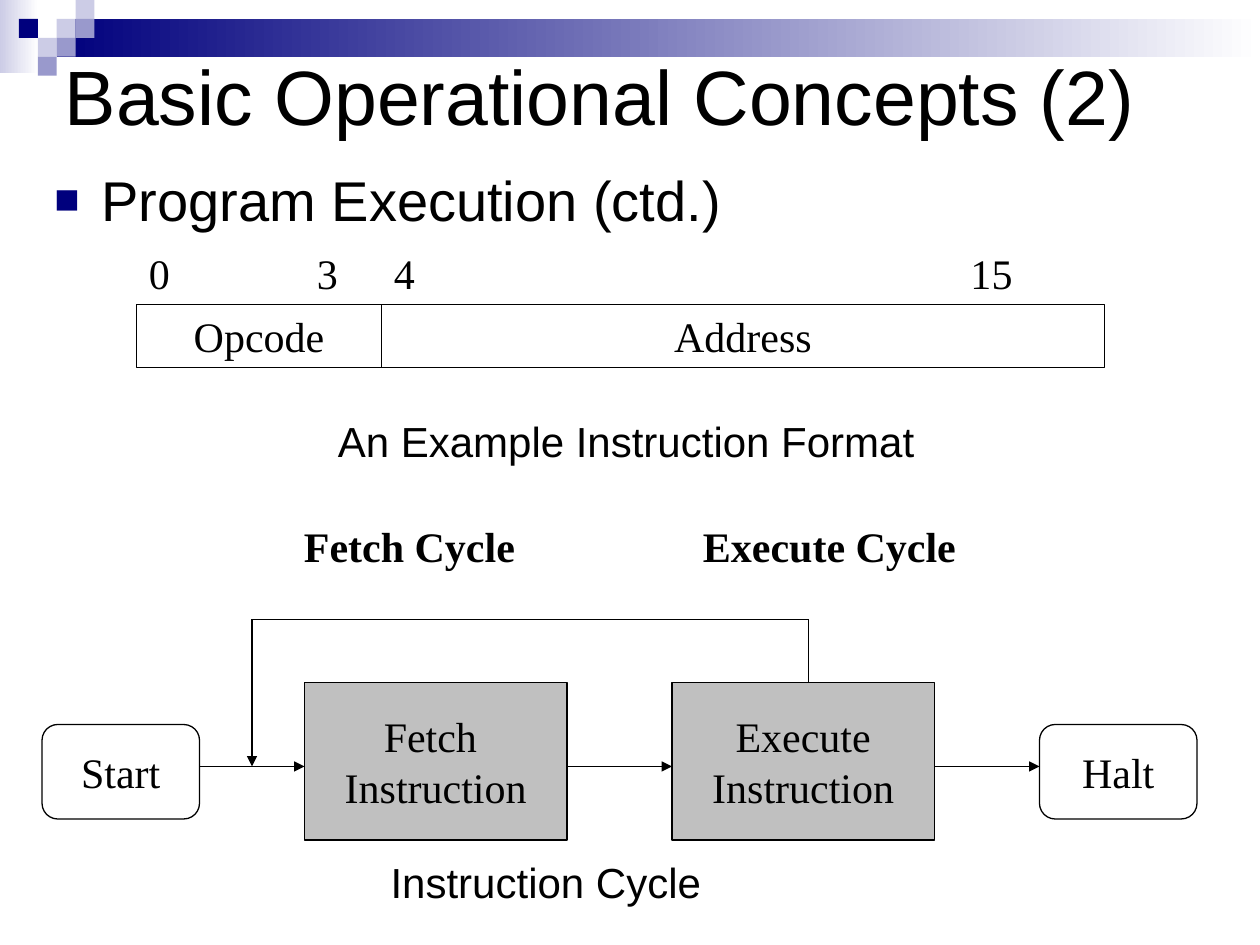
from lxml import etree
from pptx import Presentation
from pptx.dml.color import RGBColor
from pptx.enum.shapes import MSO_CONNECTOR, MSO_SHAPE
from pptx.enum.text import MSO_ANCHOR, PP_ALIGN
from pptx.oxml.ns import qn
from pptx.util import Pt

STRAIGHT = MSO_CONNECTOR.STRAIGHT
RECTANGLE = MSO_SHAPE.RECTANGLE
PROCESS = MSO_SHAPE.FLOWCHART_PROCESS
TERMINAL = MSO_SHAPE.FLOWCHART_ALTERNATE_PROCESS
LEFT, CENTER = PP_ALIGN.LEFT, PP_ALIGN.CENTER
TOP, MIDDLE = MSO_ANCHOR.TOP, MSO_ANCHOR.MIDDLE
SANS, SERIF = "Arial", "Times New Roman"
BLACK, WHITE, GRAY = "000000", "FFFFFF", "C0C0C0"
NAVY, LILAC, VIOLET = "00007D", "CCCCE6", "9999CC"


def color(hex_value):
    return RGBColor.from_string(hex_value)


def add_child(parent, tag, **attributes):
    return etree.SubElement(parent, qn(tag), attributes)


def write(box, text, size=24, font=SERIF, bold=False, align=LEFT, anchor=TOP,
          wrap=True, inset=7.2, tab=None, bullet=None):
    frame = box.text_frame
    frame.word_wrap = wrap
    frame.vertical_anchor = anchor
    frame.margin_left = Pt(inset)
    for index, line in enumerate(text.split("\n")):
        para = frame.add_paragraph() if index else frame.paragraphs[0]
        para.alignment = align
        properties = para._p.get_or_add_pPr()
        if bullet:
            properties.set("marL", str(Pt(27)))
            properties.set("indent", str(-Pt(27)))
            add_child(add_child(properties, "a:buClr"), "a:srgbClr", val=NAVY)
            add_child(properties, "a:buSzPct", val="75000")
            add_child(properties, "a:buFont", typeface=SANS)
            add_child(properties, "a:buChar", char=bullet)
        if tab:
            tabs = add_child(properties, "a:tabLst")
            add_child(tabs, "a:tab", pos=str(Pt(tab)), algn="l")
        span = para.add_run()
        span.text = line
        span.font.size = Pt(size)
        span.font.name = font
        span.font.bold = bold
        span.font.color.rgb = color(BLACK)


def add_text(page, left, top, width, height, text, **style):
    box = page.shapes.add_textbox(Pt(left), Pt(top), Pt(width), Pt(height))
    write(box, text, **style)


def add_box(page, left, top, width, height, kind=RECTANGLE, fill=None, fade=None, outline=None):
    box = page.shapes.add_shape(kind, Pt(left), Pt(top), Pt(width), Pt(height))
    box.shadow.inherit = False
    if fade:
        box.fill.gradient()
        box.fill.gradient_angle = 0
        for stop, shade in zip(box.fill.gradient_stops, fade):
            stop.color.rgb = color(shade)
    elif fill:
        box.fill.solid()
        box.fill.fore_color.rgb = color(fill)
    else:
        box.fill.background()
    if outline:
        box.line.color.rgb = color(outline)
        box.line.width = Pt(0.75)
    else:
        box.line.fill.background()
    return box


def add_line(page, start, end, arrow=False):
    line = page.shapes.add_connector(STRAIGHT, *map(Pt, start + end))
    line.line.color.rgb = color(BLACK)
    line.line.width = Pt(0.75)
    if arrow:
        add_child(line.line._get_or_add_ln(), "a:tailEnd", type="triangle")
    add_child(line._element.spPr, "a:effectLst")


def add_banner(page, left, top, width):
    cell = 10.8
    add_box(page, left, top, 22, 42, fade=(LILAC, WHITE))
    add_box(page, left + 3 * cell, top + cell, width - 3 * cell, 2 * cell, fade=(NAVY, WHITE))
    squares = [(3, 1, LILAC), (4, 0, LILAC), (4, 1, VIOLET), (2, 2, LILAC),
               (1, 1, NAVY), (3, 2, VIOLET), (2, 3, VIOLET)]
    for column, row, fill in squares:
        add_box(page, left + column * cell, top + row * cell, cell, cell, fill=fill)


def add_headings(page, left, top, width):
    add_text(page, left + 6, top, width, 108, "Basic Operational Concepts (2)",
             size=44, font=SANS, anchor=MIDDLE)
    add_text(page, left, top + 91, width, 48, "Program Execution (ctd.)",
             size=32, font=SANS, bullet="■")


def add_instruction_format(page, left, top):
    fields = [("Opcode", "0\t3", 140, 96), ("Address", "4\t15", 413, 329.5)]
    field_left = left
    for name, bits, width, tab in fields:
        add_text(page, field_left, top, width, 36, bits, tab=tab)
        box = add_box(page, field_left, top + 36, width, 36, outline=BLACK)
        write(box, name, align=CENTER)
        field_left += width
    add_text(page, left + 108, top + 96, 360, 36, "An Example Instruction Format", font=SANS)


def add_instruction_cycle(page, left, top):
    titles = [("Fetch Cycle", 132, 156), ("Execute Cycle", 354, 192)]
    for text, offset, width in titles:
        add_text(page, left + offset, top, width, 36, text, bold=True, align=CENTER)

    gap = 60
    steps = [("Start", TERMINAL, None, 90, 54, 120),
             ("Fetch \nInstruction", PROCESS, GRAY, 150, 90, 96),
             ("Execute\nInstruction", PROCESS, GRAY, 150, 90, 96),
             ("Halt", TERMINAL, None, 90, 54, 120)]
    flow = top + 144
    step_left = left
    for text, kind, fill, width, height, drop in steps:
        if step_left > left:
            add_line(page, (step_left - gap, flow), (step_left, flow), arrow=True)
        box = add_box(page, step_left, top + drop, width, height, kind, fill, outline=BLACK)
        write(box, text, align=CENTER, anchor=MIDDLE, wrap=False)
        step_left += width + gap

    loop_left, loop_right, loop_top = left + 120, left + 438, top + 60
    add_line(page, (loop_right, loop_top), (loop_left, loop_top))
    add_line(page, (loop_right, loop_top), (loop_right, top + 96))
    add_line(page, (loop_left, loop_top), (loop_left, flow), arrow=True)
    add_text(page, left + 186, top + 192, 420, 36, "Instruction Cycle", font=SANS, inset=13.2)


def main():
    deck = Presentation()
    deck.slide_width, deck.slide_height = Pt(720), Pt(540)
    page = deck.slides.add_slide(deck.slide_layouts[6])
    add_banner(page, 0, 0, 720)
    add_headings(page, 24, 0, 648)
    add_instruction_format(page, 78, 138)
    add_instruction_cycle(page, 24, 294)
    deck.save("out.pptx")


if __name__ == "__main__":
    main()
